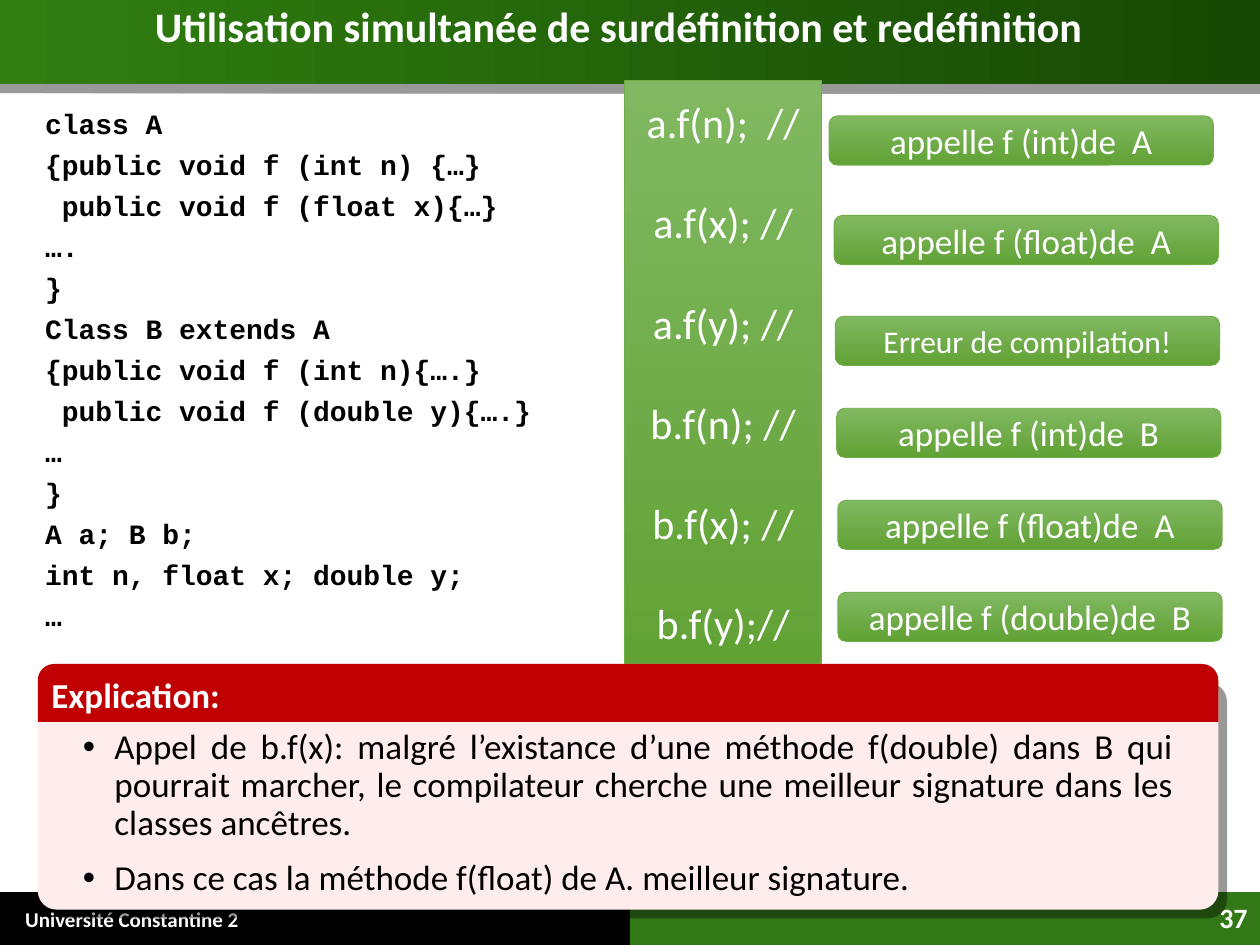
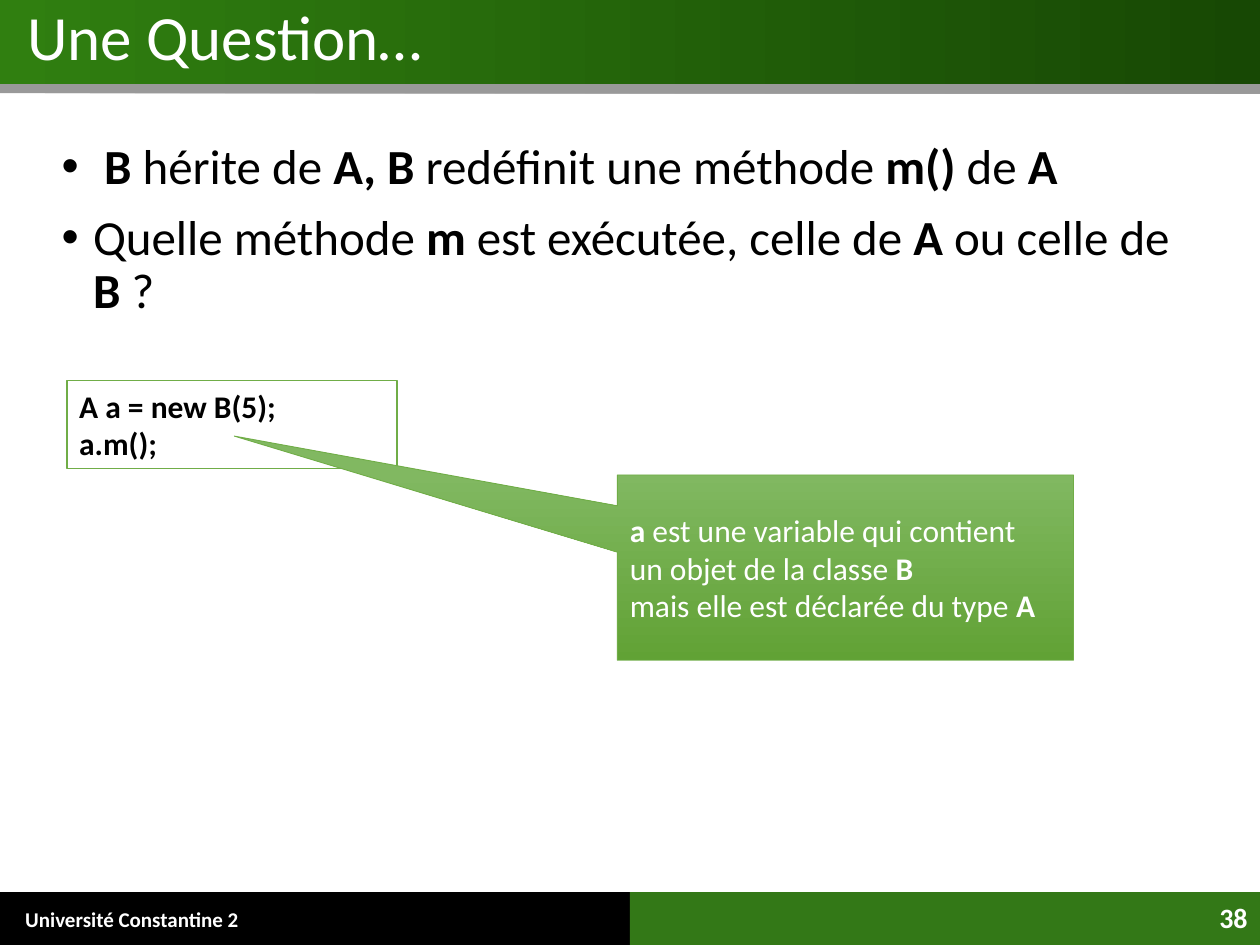
import pptx
import pptx.util
import pptx.dml.color
import pptx.enum.shapes
import pptx.enum.text
import pptx.oxml
import pptx.oxml.ns
from lxml import etree

Inches = pptx.util.Inches
Pt = pptx.util.Pt
RGB = pptx.dml.color.RGBColor.from_string
MSO = pptx.enum.shapes.MSO_SHAPE
ALIGN = pptx.enum.text.PP_ALIGN
ANCHOR = pptx.enum.text.MSO_ANCHOR

# Content: *stars* mark a switch to bold and back
FOOTER = "Université Constantine 2"
OVERLOAD = {
    "number": "37",
    "title": "Utilisation simultanée de surdéfinition et redéfinition",
    "code": [
        "class A",
        "{public void f (int n) {…}",
        " public void f (float x){…}",
        "….",
        "}",
        "Class B extends A",
        "{public void f (int n){….}",
        " public void f (double y){….}",
        "…",
        "}",
        "A a; B b;",
        "int n, float x; double y;",
        "…",
    ],
    "calls": ["a.f(n);  //", "a.f(x); //", "a.f(y); //",
              "b.f(n); //", "b.f(x); //", "b.f(y);//"],
    # left, top, text, size name
    "answers": [
        (6.58, 0.92, "appelle f (int)de  A", "answer"),
        (6.62, 1.71, "appelle f (float)de  A", "answer"),
        (6.63, 2.51, "Erreur de compilation!", "small"),
        (6.64, 3.24, "appelle f (int)de  B", "answer"),
        (6.65, 3.97, "appelle f (float)de  A", "answer"),
        (6.65, 4.70, "appelle f (double)de  B", "answer"),
    ],
    "panel_title": "Explication:",
    "panel": [
        "Appel de b.f(x): malgré l’existance d’une méthode f(double) dans B "
        "qui pourrait marcher, le compilateur cherche une meilleur signature "
        "dans les classes ancêtres.",
        "Dans ce cas la méthode f(float) de A. meilleur signature.",
    ],
}
QUESTION = {
    "number": "38",
    "title": "Une Question…",
    "bullets": [
        "* B *hérite de *A, B *redéfinit une méthode *m() *de *A*",
        "Quelle méthode *m *est exécutée, celle de *A *ou celle de *B *?",
    ],
    "code": ["A a = new B(5);", "a.m();"],
    "callout": [
        "*a *est une variable qui contient",
        "un objet de la classe *B*",
        "mais elle est déclarée du type *A*",
    ],
}


class Theme:
    font, code_font = "Calibri", "Courier New"
    black, white = "000000", "FFFFFF"
    header = ("307F10", "174804")
    button = ("81B861", "61A235")
    footer_green, outline = "337817", "70AD47"
    red, pink = "C00000", "FFECEC"
    size = {"footer": 12, "number": 16, "code": 16, "small": 18, "answer": 20,
            "title": 24, "call": 24, "bullet": 28, "big_title": 36}


def add_bullet(p):
    pPr = p._p.get_or_add_pPr()
    pPr.set("marL", str(Inches(0.25)))
    pPr.set("indent", str(-Inches(0.25)))
    ns = pptx.oxml.ns.nsdecls("a")
    for xml in (f'<a:buClr {ns}><a:srgbClr val="{Theme.black}"/></a:buClr>',
                f'<a:buFont {ns} typeface="Arial"/>',
                f'<a:buChar {ns} char="•"/>'):
        pPr.append(pptx.oxml.parse_xml(xml))


def write(sp, paragraphs, size, color=Theme.black, bold=False, align=ALIGN.LEFT,
          anchor=ANCHOR.TOP, spacing=None, before=0, bullet=False, font=Theme.font):
    tf = sp.text_frame
    tf.word_wrap = True
    tf.vertical_anchor = anchor
    for i, text in enumerate(paragraphs):
        p = tf.add_paragraph() if i else tf.paragraphs[0]
        if bullet:
            add_bullet(p)
        p.alignment = align
        if spacing:
            p.line_spacing = spacing
        if i and before:
            p.space_before = Pt(before)
        for j, part in enumerate(text.split("*")):
            if part:
                r = p.add_run()
                r.text = part
                r.font.name = font
                r.font.size = Pt(Theme.size[size])
                r.font.bold = bold or j % 2 == 1
                r.font.color.rgb = RGB(color)
    return sp


def add_text(slide, box, paragraphs, size, **style):
    sp = slide.shapes.add_textbox(*map(Inches, box))
    return write(sp, paragraphs, size, **style)


def add_box(slide, kind, box, fill, line=None, width=0.5, angle=270):
    """A pair of colours as fill makes a gradient."""
    sp = slide.shapes.add_shape(kind, *map(Inches, box))
    sp.shadow.inherit = False
    if isinstance(fill, tuple):
        sp.fill.gradient()
        sp.fill.gradient_angle = angle
        for stop, color in zip(sp.fill.gradient_stops, fill):
            stop.color.rgb = RGB(color)
    else:
        sp.fill.solid()
        sp.fill.fore_color.rgb = RGB(fill)
    if line:
        sp.line.color.rgb = RGB(line)
        sp.line.width = Pt(width)
    else:
        sp.line.fill.background()
    return sp


def add_button(slide, kind, box):
    return add_box(slide, kind, box, Theme.button, Theme.outline)


def add_shadow(sp, distance, direction):
    qn = pptx.oxml.ns.qn
    effects = sp._element.spPr.find(qn("a:effectLst"))
    shadow = etree.SubElement(effects, qn("a:outerShdw"), blurRad="0",
                              dist=str(Pt(distance)), dir=str(direction * 60000),
                              algn="ctr", rotWithShape="0")
    color = etree.SubElement(shadow, qn("a:srgbClr"), val=Theme.black)
    etree.SubElement(color, qn("a:alpha"), val="40000")


def new_slide(prs, number):
    """Blank slide with the shared header band, footer and number."""
    slide = prs.slides.add_slide(prs.slide_layouts[6])
    add_box(slide, MSO.RECTANGLE, (0, 7.08, 5, 0.42), Theme.black)
    header = add_box(slide, MSO.RECTANGLE, (0, 0, 10, 0.67), Theme.header, angle=0)
    add_shadow(header, 5, 90)
    add_box(slide, MSO.RECTANGLE, (5, 7.08, 5, 0.42), Theme.footer_green)
    label = add_text(slide, (0, 7.09, 3.19, 0.41), [FOOTER], "footer",
                     color=Theme.white, bold=True, anchor=ANCHOR.MIDDLE)
    label.text_frame.margin_left = Inches(0.2)
    add_text(slide, (8.83, 7.1, 1.17, 0.4), [number], "number",
             color=Theme.white, bold=True, align=ALIGN.RIGHT)
    return slide


def build_overload(prs, data):
    slide = new_slide(prs, data["number"])
    add_text(slide, (0, 0, 9.82, 0.91), [data["title"]], "title", color=Theme.white,
             bold=True, align=ALIGN.CENTER, spacing=0.9)
    add_text(slide, (0.26, 0.87, 9, 4.4), data["code"], "code", bold=True,
             spacing=0.7, before=10, font=Theme.code_font)

    # Calls and what each one runs
    calls = add_button(slide, MSO.RECTANGLE, (4.96, 0.64, 1.56, 4.63))
    centred = dict(color=Theme.white, align=ALIGN.CENTER, anchor=ANCHOR.MIDDLE)
    write(calls, data["calls"], "call", before=28.5, **centred)
    for left, top, text, size in data["answers"]:
        sp = add_button(slide, MSO.ROUNDED_RECTANGLE, (left, top, 3.05, 0.39))
        write(sp, [text], size, **centred)

    # Explanation panel
    panel = add_box(slide, MSO.ROUNDED_RECTANGLE, (0.3, 5.35, 9.37, 1.87), Theme.pink)
    panel.adjustments[0] = 0.08
    add_shadow(panel, 7, 45)
    band = add_box(slide, MSO.ROUND_2_SAME_RECTANGLE, (0.3, 5.27, 9.37, 0.46), Theme.red)
    band.adjustments[0] = 0.28
    write(band, [data["panel_title"]], "answer", color=Theme.white, bold=True,
          anchor=ANCHOR.BOTTOM)
    band.text_frame.margin_left = Inches(0.07)
    add_text(slide, (0.56, 5.74, 8.85, 1.35), data["panel"], "answer",
             align=ALIGN.JUSTIFY, spacing=0.9, before=10, bullet=True)


def build_question(prs, data):
    slide = new_slide(prs, data["number"])
    add_text(slide, (0.12, 0, 9.76, 1.02), [data["title"]], "big_title",
             color=Theme.white, spacing=0.9)
    add_text(slide, (0.39, 1.08, 9, 2.31), data["bullets"], "bullet",
             spacing=0.9, before=10, bullet=True)

    # Code and the callout that points at it
    code = add_box(slide, MSO.RECTANGLE, (0.53, 3.02, 2.62, 0.7), Theme.white,
                   Theme.outline, width=1)
    write(code, data["code"], "small", bold=True)
    callout = add_button(slide, MSO.RECTANGULAR_CALLOUT, (4.9, 3.77, 3.62, 1.47))
    callout.adjustments[0] = -1.34
    callout.adjustments[1] = -0.71
    write(callout, data["callout"], "small", color=Theme.white, anchor=ANCHOR.MIDDLE)


def main():
    prs = pptx.Presentation()
    prs.slide_width, prs.slide_height = Inches(10), Inches(7.5)
    build_overload(prs, OVERLOAD)
    build_question(prs, QUESTION)
    prs.save("out.pptx")


if __name__ == "__main__":
    main()
